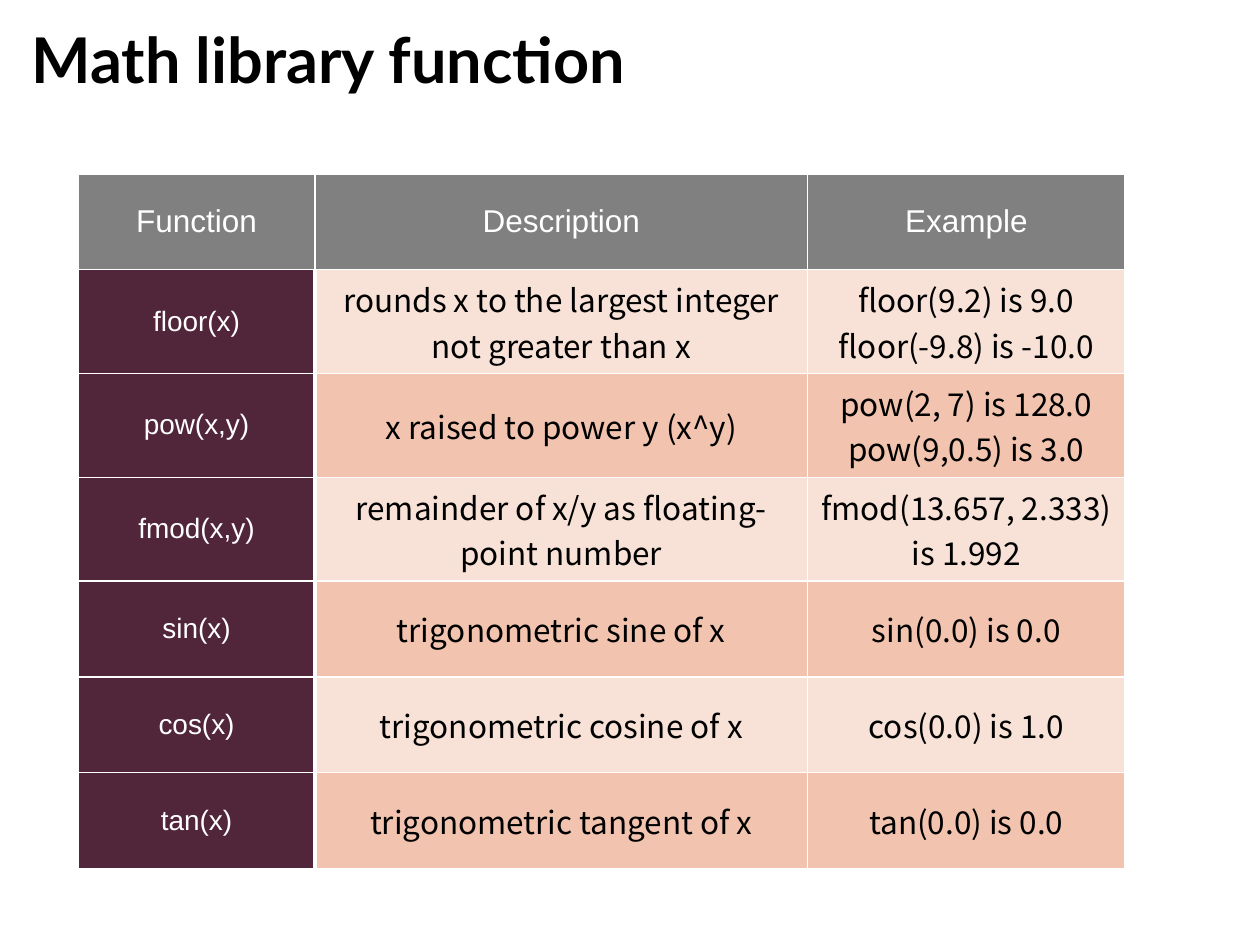
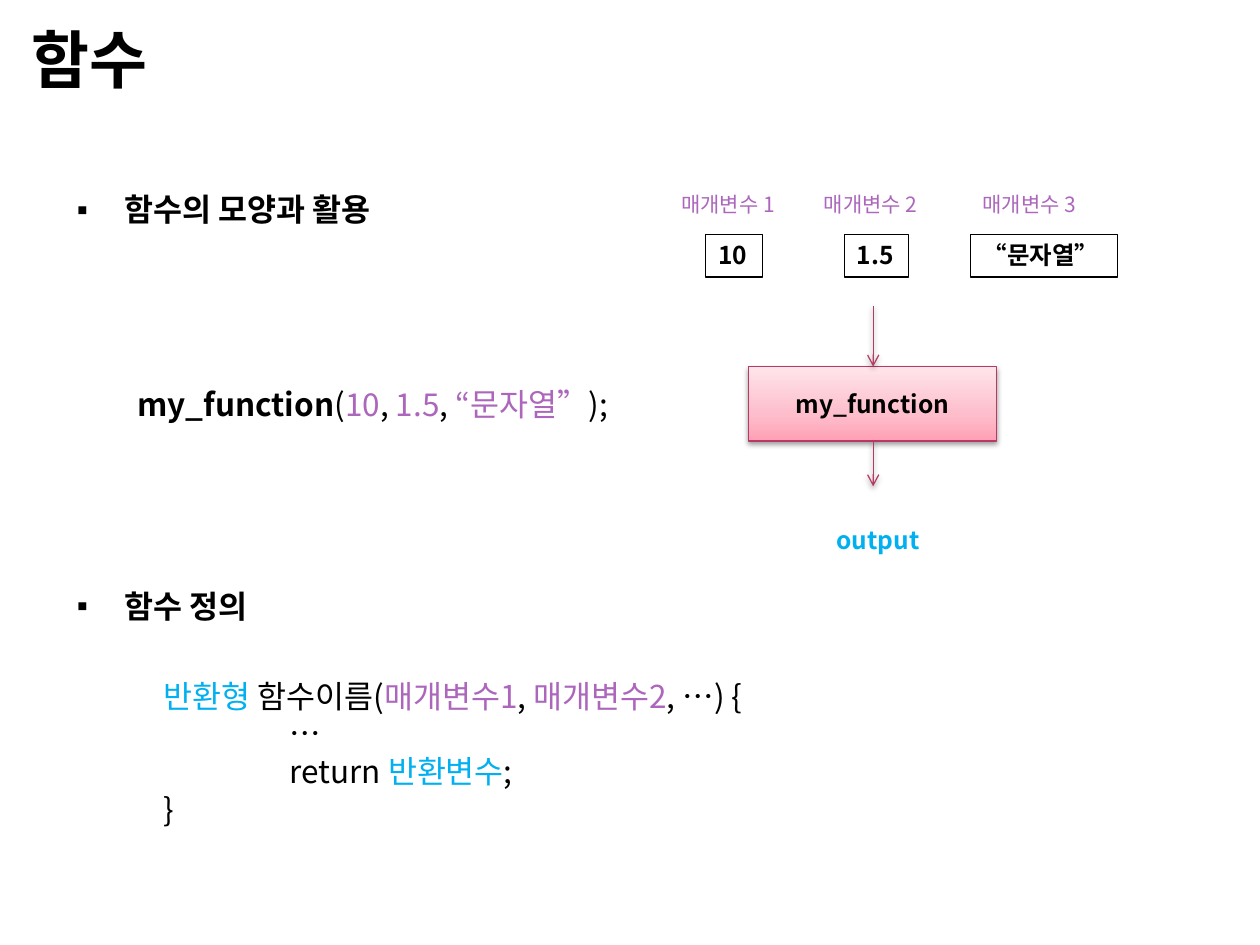
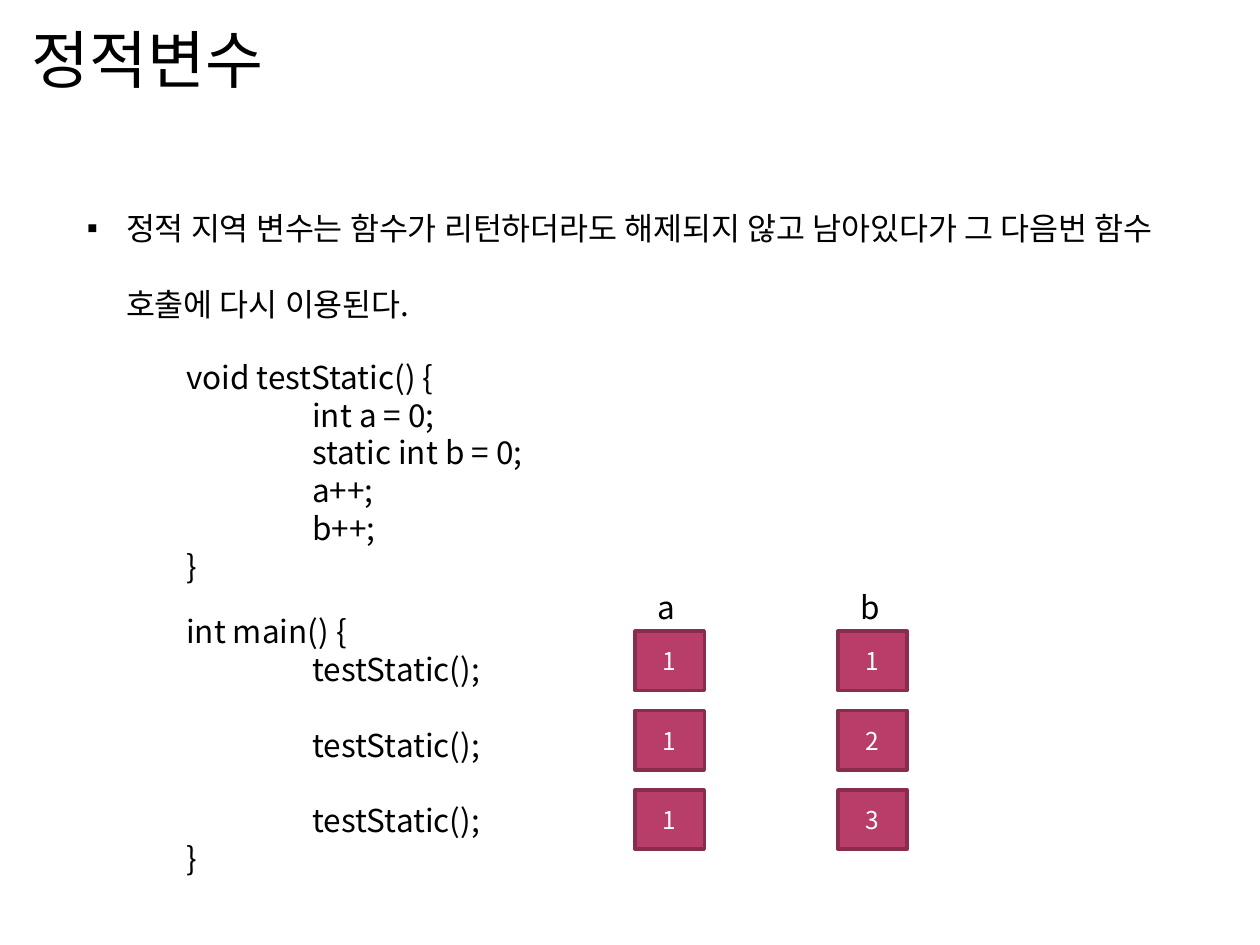
"""Build three slides on functions and static variables."""
from copy import deepcopy

from lxml import etree
from pptx import Presentation
from pptx.dml.color import RGBColor
from pptx.enum.shapes import MSO_CONNECTOR, MSO_SHAPE
from pptx.enum.text import MSO_ANCHOR, MSO_AUTO_SIZE, PP_ALIGN
from pptx.oxml import parse_xml
from pptx.oxml.ns import nsdecls, qn
from pptx.util import Inches, Pt

CENTER, LEFT = PP_ALIGN.CENTER, PP_ALIGN.LEFT
MIDDLE, TOP = MSO_ANCHOR.MIDDLE, MSO_ANCHOR.TOP
RECT, STRAIGHT = MSO_SHAPE.RECTANGLE, MSO_CONNECTOR.STRAIGHT
NO_FIT = MSO_AUTO_SIZE.NONE
TITLE_BODY, TITLE_ONLY = 1, 5
KR, LATO, ARIAL = "Noto Sans CJK KR", "Lato", "Arial"
C = {
    "black": "000000", "white": "FFFFFF", "header": "808080", "name": "51253A",
    "light": "F8E2D7", "dark": "F2C4AF", "param": "AC66BB", "result": "00B0F0",
    "rose": "B73965", "value": "B83D68", "value_line": "882D4D",
    "grad_low": "FFA0B5", "grad_mid": "FDBDCB", "grad_high": "FFE5EB",
}
SHADOW = (f'<a:outerShdw {nsdecls("a")} blurRad="39400" dist="20300" dir="5400000">'
          '<a:srgbClr val="000000"><a:alpha val="38000"/></a:srgbClr></a:outerShdw>')


def write(tf, text, size=18, color="black", bold=False, font=KR, align=LEFT,
          spacing=1.2, before=0, left=0, bullet=None):
    """Add a paragraph; text is a string or a list of (text, color, bold) runs."""
    p = tf.paragraphs[0]
    if p.runs:
        p = tf.add_paragraph()
    p.alignment = align
    p.space_before = Pt(before)
    if spacing:
        p.line_spacing = Pt(round(size * spacing, 2))
    pPr = p._p.get_or_add_pPr()
    pPr.set("marL", str(Inches(left)))
    pPr.set("indent", str(-Inches(left) if bullet else 0))
    if bullet:
        etree.SubElement(pPr, qn("a:buChar")).set("char", bullet)
    runs = [(text, color, bold)] if isinstance(text, str) else text
    for run_text, run_color, run_bold in runs:
        r = p.add_run()
        r.text = run_text
        r.font.size = Pt(size)
        r.font.bold = run_bold
        r.font.name = font
        r.font.color.rgb = RGBColor.from_string(C[run_color])
        etree.SubElement(r._r.get_or_add_rPr(), qn("a:ea")).set("typeface", KR)


def add_box(s, x, y, w, h, fill=None, line=None, width=0.75, anchor=TOP):
    """Add a rectangle when it has a line, otherwise a text box."""
    place = [Inches(v) for v in (x, y, w, h)]
    if line:
        sp = s.shapes.add_shape(RECT, *place)
        sp.shadow.inherit = False
        sp.line.color.rgb = RGBColor.from_string(C[line])
        sp.line.width = Pt(width)
        if fill:
            sp.fill.solid()
            sp.fill.fore_color.rgb = RGBColor.from_string(C[fill])
        else:
            sp.fill.background()
    else:
        sp = s.shapes.add_textbox(*place)
    sp.text_frame.word_wrap = True
    sp.text_frame.vertical_anchor = anchor
    return sp


prs = Presentation()
prs.slide_width, prs.slide_height = Inches(10), Inches(7.5)

slides = []
for title, layout, font, bold, body_place in [
    ("Math library function", TITLE_ONLY, LATO, True, None),
    ("함수", TITLE_BODY, KR, True, (0.51, 1.31, 3.8, 3.74)),
    ("정적변수", TITLE_BODY, LATO, False, (0.59, 1.31, 9.21, 1.31)),
]:
    s = prs.slides.add_slide(prs.slide_layouts[layout])
    places = [(0.15, 0.12, 9, 0.69), body_place]
    for sp, place in zip(s.placeholders, places):
        sp.left, sp.top, sp.width, sp.height = [Inches(v) for v in place]
        sp.text_frame.auto_size = NO_FIT
    s.shapes.title.text_frame.vertical_anchor = MIDDLE
    write(s.shapes.title.text_frame, title, size=36, bold=bold, font=font, spacing=None)
    slides.append(s)
table_slide, function_slide, static_slide = slides

rows = [
    ("Function", "Description", "Example"),
    ("floor(x)", "rounds x to the largest integer not greater than x",
     "floor(9.2) is 9.0\nfloor(-9.8) is -10.0"),
    ("pow(x,y)", "x raised to power y (x^y)", "pow(2, 7) is 128.0\npow(9,0.5) is 3.0"),
    ("fmod(x,y)", "remainder of x/y as floating-point number", "fmod(13.657, 2.333) is 1.992"),
    ("sin(x)", "trigonometric sine of x", "sin(0.0) is 0.0"),
    ("cos(x)", "trigonometric cosine of x", "cos(0.0) is 1.0"),
    ("tan(x)", "trigonometric tangent of x", "tan(0.0) is 0.0"),
]
table = table_slide.shapes.add_table(
    len(rows), 3, Inches(0.62), Inches(1.38), Inches(8.31), Inches(5.35)).table
table.first_row = table.horz_banding = False
for column, width in zip(table.columns, (1.88, 3.91, 2.52)):
    column.width = Inches(width)
for i, row in enumerate(rows):
    table.rows[i].height = Inches(0.76)
    for j, text in enumerate(row):
        cell = table.cell(i, j)
        cell.vertical_anchor = MIDDLE
        tcPr = cell._tc.get_or_add_tcPr()
        for side in "LRTB":
            thick = i > 0 and (j, side) in [(0, "R"), (1, "L")]
            ln = etree.SubElement(tcPr, qn(f"a:ln{side}"), w=str(Pt(2.25 if thick else 1)))
            solid = etree.SubElement(ln, qn("a:solidFill"))
            etree.SubElement(solid, qn("a:srgbClr"), val=C["white"])
        if i == 0:
            fill, fmt = "header", {"font": ARIAL, "color": "white"}
        elif j == 0:
            fill, fmt = "name", {"font": ARIAL, "color": "white", "size": 16}
        else:
            fill, fmt = "light" if i % 2 else "dark", {}
        cell.fill.solid()
        cell.fill.fore_color.rgb = RGBColor.from_string(C[fill])
        for line in text.split("\n"):
            write(cell.text_frame, line, align=CENTER, spacing=None, **fmt)

s = function_slide
tf = s.placeholders[1].text_frame
for text, before in [("함수의 모양과 활용", 0), ("함수 정의", 194.4)]:
    write(tf, text, bold=True, spacing=1.8, before=before, left=0.38, bullet="▪")

func = add_box(s, 5.94, 2.91, 1.97, 0.59, line="rose", anchor=MIDDLE)
func.fill.gradient()
func.fill.gradient_angle = 90
stops = func._element.spPr.find(".//" + qn("a:gsLst"))
stops.insert(1, deepcopy(stops[0]))
for stop, (position, color) in zip(
        func.fill.gradient_stops, [(0, "grad_low"), (0.35, "grad_mid"), (1, "grad_high")]):
    stop.position = position
    stop.color.rgb = RGBColor.from_string(C[color])
write(func.text_frame, "my_function", size=14, bold=True, align=CENTER)

shadowed = [func]
for y1, y2 in [(2.43, 2.91), (3.5, 3.86)]:
    arrow = s.shapes.add_connector(STRAIGHT, Inches(6.93), Inches(y1), Inches(6.93), Inches(y2))
    arrow.line.color.rgb = RGBColor.from_string(C["rose"])
    arrow.line.width = Pt(0.75)
    spPr = arrow._element.spPr
    etree.SubElement(spPr.find(qn("a:ln")), qn("a:tailEnd"), type="arrow")
    etree.SubElement(spPr, qn("a:effectLst"))
    shadowed.append(arrow)
for sp in shadowed:
    sp._element.spPr.find(qn("a:effectLst")).append(parse_xml(SHADOW))

for i, (label_x, x, w, text) in enumerate(
        [(5.31, 5.6, 0.45, "10"), (6.44, 6.7, 0.51, "1.5"), (7.7, 7.7, 1.17, "“문자열”")], 1):
    label = add_box(s, label_x, 1.47, 1.03, 0.3)
    write(label.text_frame, f"매개변수 {i}", size=12, color="param")
    argument = add_box(s, x, 1.86, w, 0.34, line="black")
    write(argument.text_frame, text, size=14, bold=True)

output = add_box(s, 6.54, 4.12, 0.88, 0.34)
write(output.text_frame, "output", size=14, color="result", bold=True)
call = add_box(s, 0.99, 3.01, 4.49, 0.4)
write(call.text_frame, [
    ("my_function", "black", True), ("(", "black", False), ("10", "param", False),
    (", ", "black", False), ("1.5", "param", False), (", ", "black", False),
    ("“문자열”", "param", False), (");", "black", False)])

tf = add_box(s, 1.2, 5.32, 5.44, 1.31).text_frame
write(tf, [
    ("반환형", "result", False), (" 함수이름(", "black", False), ("매개변수1", "param", False),
    (", ", "black", False), ("매개변수2", "param", False), (", …) {", "black", False)])
write(tf, "…", left=1)
write(tf, [("return ", "black", False), ("반환변수", "result", False), (";", "black", False)], left=1)
write(tf, "}")

s = static_slide
write(s.placeholders[1].text_frame,
      "정적 지역 변수는 함수가 리턴하더라도 해제되지 않고 남아있다가 그 다음번 함수 호출에 다시 이용된다.",
      spacing=2.4, left=0.31, bullet="▪")
for y, w, h, head, statements, gap in [
    (2.79, 3.28, 1.92, "void testStatic() {",
     ["int a = 0;", "static int b = 0;", "a++;", "b++;"], 0),
    (4.81, 2.87, 2.22, "int main() {", ["testStatic();"] * 3, 21.6),
]:
    tf = add_box(s, 1.38, y, w, h).text_frame
    write(tf, head)
    for i, statement in enumerate(statements):
        write(tf, statement, left=1, before=gap if i else 0)
    write(tf, "}")

for x, name, values in [(5.04, "a", "111"), (6.65, "b", "123")]:
    write(add_box(s, x + 0.08, 4.62, 0.43, 0.4).text_frame, name)
    for i, value in enumerate(values):
        sp = add_box(s, x, 5.01 + 0.63 * i, 0.55, 0.47, fill="value",
                     line="value_line", width=2, anchor=MIDDLE)
        write(sp.text_frame, value, size=14, color="white", align=CENTER)

prs.save("out.pptx")
